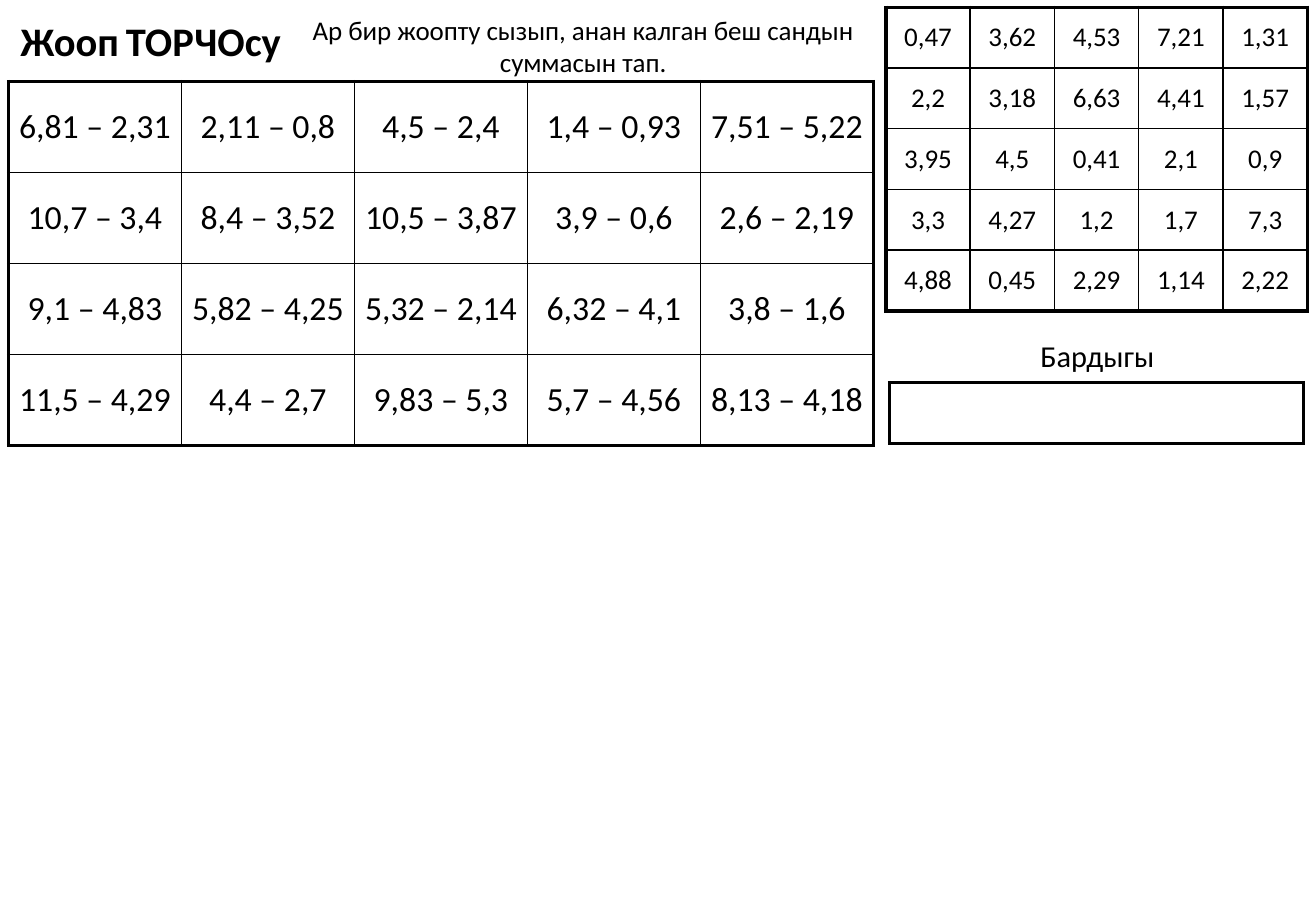
"""Build a subtraction worksheet with a problem grid, an answer grid and a total box."""
from dataclasses import dataclass

from lxml.etree import SubElement
from pptx import Presentation
from pptx.dml.color import RGBColor
from pptx.enum.text import MSO_ANCHOR, PP_ALIGN
from pptx.oxml.ns import qn
from pptx.slide import Slide
from pptx.table import _Cell
from pptx.text.text import Font
from pptx.util import Inches, Pt

BLACK = RGBColor(0, 0, 0)
WHITE = RGBColor(255, 255, 255)
OUTER_LINE = Pt(2.25)
INNER_LINE = Pt(1)


@dataclass
class Box:
    left: float
    top: float
    width: float
    height: float

    def lengths(self) -> tuple:
        return tuple(map(Inches, (self.left, self.top, self.width, self.height)))


@dataclass
class Grid:
    box: Box
    rows: list[list[str]]
    size: int
    side_margin: float = 0.1


@dataclass
class Label:
    box: Box
    text: str
    size: int


ANSWERS = Grid(Box(7.29, 0.06, 3.47, 2.5), [
    ["0,47", "3,62", "4,53", "7,21", "1,31"],
    ["2,2", "3,18", "6,63", "4,41", "1,57"],
    ["3,95", "4,5", "0,41", "2,1", "0,9"],
    ["3,3", "4,27", "1,2", "1,7", "7,3"],
    ["4,88", "0,45", "2,29", "1,14", "2,22"],
], 16)
PROBLEMS = Grid(Box(0.07, 0.67, 7.12, 3), [
    ["6,81 – 2,31", "2,11 – 0,8", "4,5 – 2,4", "1,4 – 0,93", "7,51 – 5,22"],
    ["10,7 – 3,4", "8,4 – 3,52", "10,5 – 3,87", "3,9 – 0,6", "2,6 – 2,19"],
    ["9,1 – 4,83", "5,82 – 4,25", "5,32 – 2,14", "6,32 – 4,1", "3,8 – 1,6"],
    ["11,5 – 4,29", "4,4 – 2,7", "9,83 – 5,3", "5,7 – 4,56", "8,13 – 4,18"],
], 20, 0.05)
TOTAL = Grid(Box(7.32, 3.15, 3.41, 0.5), [[""]], 18)
LABELS = [
    Label(Box(7.37, 2.73, 3.32, 0.4), "Бардыгы", 18),
    Label(Box(2.27, 0.06, 5.06, 0.64),
          "Ар бир жоопту сызып, анан калган беш сандын суммасын тап.", 16),
]
HEADING_BOX = Box(0.07, 0.08, 2.5, 0.5)
HEADING_RUNS = [("Жооп", 24), (" ", 18), ("ТОРЧОсу", 24)]


def style_font(font: Font, size: int, bold: bool = False) -> None:
    font.name = "Calibri"
    font.size = Pt(size)
    font.bold = bold
    font.color.rgb = BLACK


def add_borders(cell: _Cell, outer_sides: dict[str, bool]) -> None:
    properties = cell._tc.get_or_add_tcPr()
    for side, is_outer in outer_sides.items():
        width = OUTER_LINE if is_outer else INNER_LINE
        line = SubElement(properties, qn(f"a:ln{side}"), w=str(width))
        SubElement(SubElement(line, qn("a:solidFill")), qn("a:srgbClr"), val=str(BLACK))


def add_grid(slide: Slide, grid: Grid) -> None:
    row_count, column_count = len(grid.rows), len(grid.rows[0])
    table = slide.shapes.add_table(row_count, column_count, *grid.box.lengths()).table
    table.first_row = table.horz_banding = False
    for row, values in enumerate(grid.rows):
        for column, value in enumerate(values):
            cell = table.cell(row, column)
            cell.text_frame.text = value
            cell.vertical_anchor = MSO_ANCHOR.MIDDLE
            cell.margin_left = cell.margin_right = Inches(grid.side_margin)
            paragraph = cell.text_frame.paragraphs[0]
            paragraph.alignment = PP_ALIGN.CENTER
            style_font(paragraph.font, grid.size)
            for run in paragraph.runs:
                style_font(run.font, grid.size)
            add_borders(cell, {
                "L": column == 0,
                "R": column == column_count - 1,
                "T": row == 0,
                "B": row == row_count - 1,
            })
            cell.fill.solid()
            cell.fill.fore_color.rgb = WHITE


def add_label(slide: Slide, label: Label) -> None:
    frame = slide.shapes.add_textbox(*label.box.lengths()).text_frame
    frame.word_wrap = True
    frame.text = label.text
    paragraph = frame.paragraphs[0]
    paragraph.alignment = PP_ALIGN.CENTER
    style_font(paragraph.runs[0].font, label.size)


def set_heading(slide: Slide) -> None:
    heading = slide.shapes.title
    heading.left, heading.top, heading.width, heading.height = HEADING_BOX.lengths()
    frame = heading.text_frame
    frame.word_wrap = True
    frame.vertical_anchor = MSO_ANCHOR.TOP
    paragraph = frame.paragraphs[0]
    paragraph.alignment = PP_ALIGN.LEFT
    for text, size in HEADING_RUNS:
        run = paragraph.add_run()
        run.text = text
        style_font(run.font, size, bold=True)


def main() -> None:
    presentation = Presentation()
    presentation.slide_width = Inches(10.83)
    presentation.slide_height = Inches(7.5)
    slide = presentation.slides.add_slide(presentation.slide_layouts[5])
    set_heading(slide)
    for grid in (ANSWERS, PROBLEMS, TOTAL):
        add_grid(slide, grid)
    for label in LABELS:
        add_label(slide, label)
    presentation.save("out.pptx")


if __name__ == "__main__":
    main()
